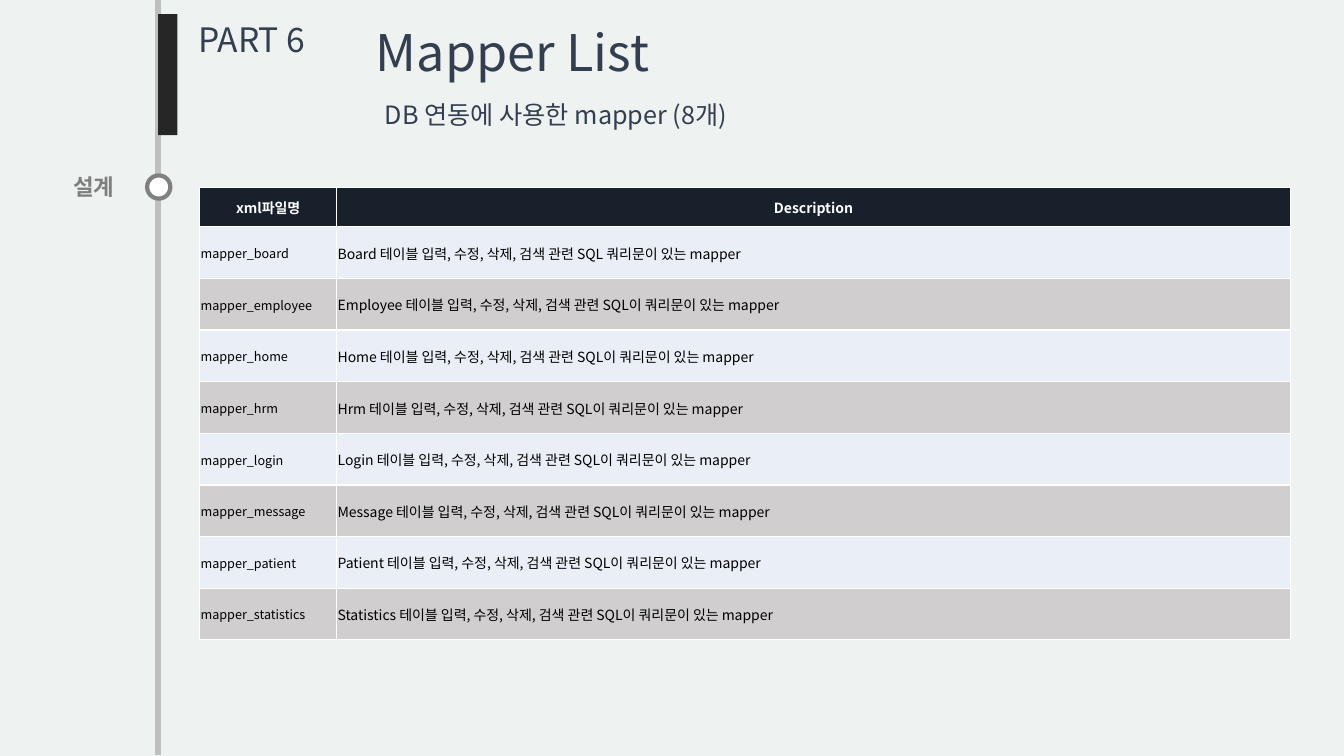
from dataclasses import dataclass
from typing import Any

from lxml import etree
from pptx import Presentation
from pptx.dml.color import RGBColor
from pptx.enum import shapes, text
from pptx.oxml import ns
from pptx.util import Pt

FONT = "Noto Sans CJK KR"
PAPER = RGBColor(0xEE, 0xF2, 0xF0)
RAIL = RGBColor(0xBF, 0xBF, 0xBF)
RING = RGBColor(0x80, 0x80, 0x80)
LABEL = RGBColor(0x7F, 0x7F, 0x7F)
CHARCOAL = RGBColor(0x26, 0x26, 0x26)
SLATE = RGBColor(0x33, 0x3F, 0x50)
NAVY = RGBColor(0x18, 0x20, 0x2C)
WHITE = RGBColor(0xFF, 0xFF, 0xFF)
BLACK = RGBColor(0, 0, 0)
BANDS = (RGBColor(0xEA, 0xEF, 0xF7), RGBColor(0xD0, 0xCE, 0xCE))

MAPPERS = ("Board", "Employee", "Home", "Hrm", "Login", "Message", "Patient", "Statistics")
COLUMN_WIDTHS = (97.9, 681.1)
HEADER_HEIGHT = 28.1
ROW_HEIGHT = 36.9
MARGINS = {
    "margin_left": Pt(0.7),
    "margin_right": Pt(0.7),
    "margin_top": Pt(0.7),
    "margin_bottom": 0,
    "vertical_anchor": text.MSO_ANCHOR.MIDDLE,
}


@dataclass
class Box:
    left: float
    top: float
    width: float
    height: float

    def lengths(self) -> list[Pt]:
        return [Pt(v) for v in (self.left, self.top, self.width, self.height)]


@dataclass
class Style:
    size: float
    color: RGBColor
    bold: bool = False
    align: Any = text.PP_ALIGN.LEFT


@dataclass
class Label:
    words: str
    box: Box
    style: Style
    wrap: bool = False


@dataclass
class Mark:
    kind: Any
    box: Box
    fill: RGBColor
    line: RGBColor | None = None
    line_width: float = 0


HEAD = Style(10, WHITE, True, text.PP_ALIGN.CENTER)
FILE_NAME = Style(9, BLACK, align=text.PP_ALIGN.JUSTIFY)
DESCRIPTION = Style(10, BLACK)

MARKS = (
    Mark(shapes.MSO_SHAPE.OVAL, Box(105.1, 125.3, 16.6, 16.6), WHITE, RING, 3),
    Mark(shapes.MSO_SHAPE.RECTANGLE, Box(113, 10.1, 13.7, 86.4), CHARCOAL),
)
LABELS = (
    Label("설계", Box(45.4, 120.2, 46.8, 26.6), Style(16, LABEL, True)),
    Label("PART 6", Box(134.6, 10.1, 91.4, 36), Style(24, SLATE)),
    Label("Mapper List", Box(261.4, 11.5, 210.2, 51.1), Style(36, SLATE)),
    Label("DB 연동에 사용한 mapper (8개)", Box(267.8, 67.7, 369.4, 28.8), Style(18, SLATE), True),
)


def set_all(target: Any, values: dict[str, Any]) -> None:
    for name, value in values.items():
        setattr(target, name, value)


def write(tf: Any, words: str, style: Style) -> None:
    p = tf.paragraphs[0]
    p.alignment = style.align
    r = p.add_run()
    r.text = words
    set_all(r.font, {"size": Pt(style.size), "bold": style.bold, "name": FONT})
    r.font.color.rgb = style.color
    etree.SubElement(r.font._element, ns.qn("a:ea"), typeface=FONT)


def add_rail(s: Any) -> None:
    rail = s.shapes.add_connector(shapes.MSO_CONNECTOR.STRAIGHT, Pt(113), 0, Pt(113), Pt(539.3))
    rail.line.color.rgb = RAIL
    rail.line.width = Pt(4.5)
    etree.SubElement(rail._element.spPr, ns.qn("a:effectLst"))


def add_mark(s: Any, mark: Mark) -> None:
    sp = s.shapes.add_shape(mark.kind, *mark.box.lengths())
    sp.shadow.inherit = False
    sp.fill.solid()
    sp.fill.fore_color.rgb = mark.fill
    if mark.line is None:
        sp.line.fill.background()
    else:
        sp.line.color.rgb = mark.line
        sp.line.width = Pt(mark.line_width)


def add_label(s: Any, label: Label) -> None:
    tf = s.shapes.add_textbox(*label.box.lengths()).text_frame
    set_all(tf, {"word_wrap": label.wrap, "auto_size": text.MSO_AUTO_SIZE.SHAPE_TO_FIT_TEXT})
    write(tf, label.words, label.style)


def fill_cell(cell: Any, words: str, style: Style, fill: RGBColor) -> None:
    set_all(cell, MARGINS)
    tc_pr = cell._tc.get_or_add_tcPr()
    for side in ("lnL", "lnR", "lnT", "lnB"):
        ln = etree.SubElement(tc_pr, ns.qn(f"a:{side}"), w=str(Pt(1)))
        solid = etree.SubElement(ln, ns.qn("a:solidFill"))
        etree.SubElement(solid, ns.qn("a:srgbClr"), val=str(WHITE))
    cell.fill.solid()
    cell.fill.fore_color.rgb = fill
    write(cell.text_frame, words, style)


def add_mapper_table(s: Any) -> None:
    count = len(MAPPERS)
    box = Box(142.6, 133.9, sum(COLUMN_WIDTHS), HEADER_HEIGHT + count * ROW_HEIGHT)
    table = s.shapes.add_table(count + 1, len(COLUMN_WIDTHS), *box.lengths()).table
    for column, width in zip(table.columns, COLUMN_WIDTHS):
        column.width = Pt(width)
    for i, row in enumerate(table.rows):
        row.height = Pt(ROW_HEIGHT if i else HEADER_HEIGHT)
    for j, words in enumerate(("xml파일명", "Description")):
        fill_cell(table.cell(0, j), words, HEAD, NAVY)
    for i, name in enumerate(MAPPERS):
        fill = BANDS[i % 2]
        sql = "SQL이" if i else "SQL"
        description = f"{name} 테이블 입력, 수정, 삭제, 검색 관련 {sql} 쿼리문이 있는 mapper"
        fill_cell(table.cell(i + 1, 0), f"mapper_{name.lower()}", FILE_NAME, fill)
        fill_cell(table.cell(i + 1, 1), description, DESCRIPTION, fill)


def main() -> None:
    prs = Presentation()
    set_all(prs, {"slide_width": Pt(960), "slide_height": Pt(540)})
    s = prs.slides.add_slide(prs.slide_layouts[6])
    s.background.fill.solid()
    s.background.fill.fore_color.rgb = PAPER
    add_rail(s)
    for mark in MARKS:
        add_mark(s, mark)
    for label in LABELS:
        add_label(s, label)
    add_mapper_table(s)
    prs.save("out.pptx")


if __name__ == "__main__":
    main()
